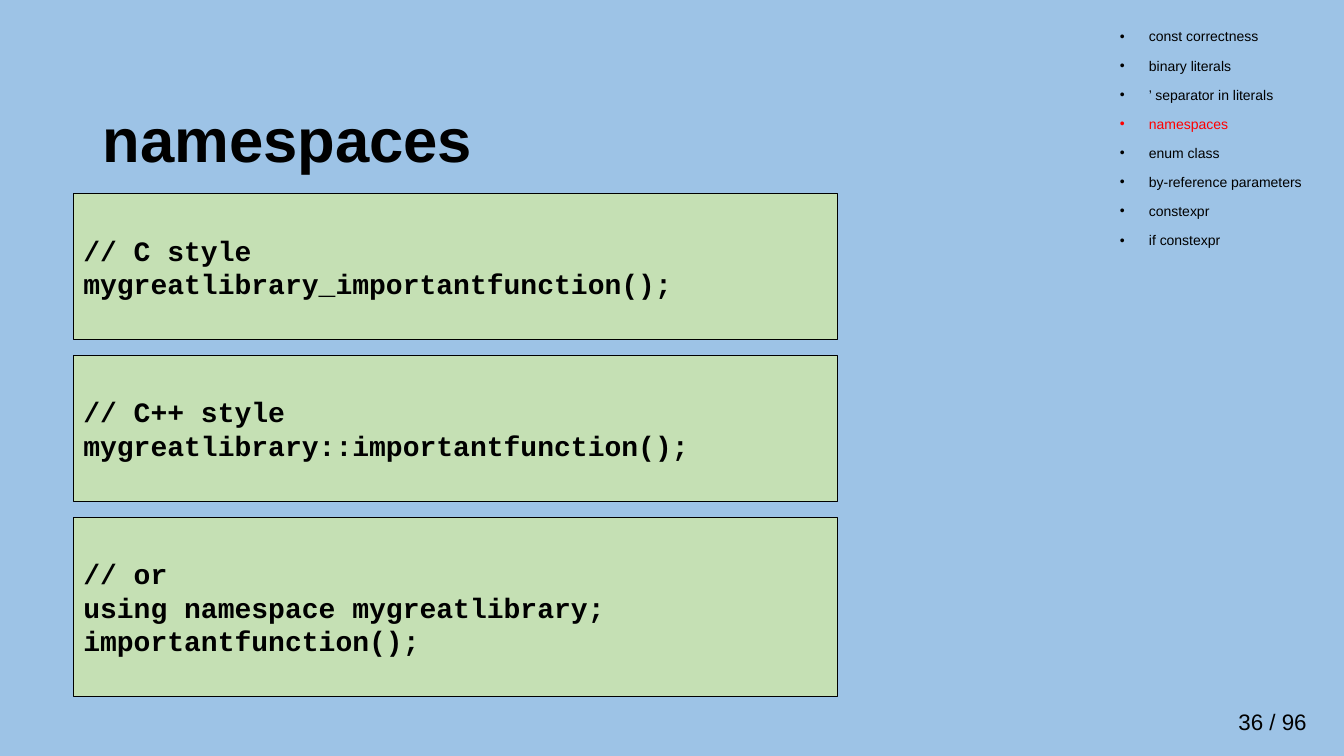
from pptx import Presentation
from pptx.dml.color import RGBColor
from pptx.enum.shapes import MSO_SHAPE
from pptx.enum.text import MSO_ANCHOR, MSO_AUTO_SIZE, PP_ALIGN
from pptx.oxml.ns import qn
from pptx.util import Cm, Pt
from lxml.etree import SubElement

COLORS = {
    "background": "9DC3E6",
    "code": "C5E0B4",
    "text": "000000",
    "current": "FF0000",
}
TOPICS = [
    "const correctness",
    "binary literals",
    "’ separator in literals",
    "namespaces",
    "enum class",
    "by-reference parameters",
    "constexpr",
    "if constexpr",
]
CURRENT_TOPIC = "namespaces"
CODE_BLOCKS = [
    ["// C style", "mygreatlibrary_importantfunction();"],
    ["// C++ style", "mygreatlibrary::importantfunction();"],
    ["// or", "using namespace mygreatlibrary;", "importantfunction();"],
]
CODE_TOP, CODE_GAP = 4.88, 0.4
CODE_PADDING, CODE_LINE = 2, 0.84


class SlideBuilder:
    fonts = {
        "title": {"name": "Arial", "size": Pt(44), "bold": True},
        "topic": {"name": "Arial", "size": Pt(10), "bold": False},
        "code": {"name": "Courier New", "size": Pt(20), "bold": True},
        "page": {"name": "Arial", "size": Pt(16), "bold": False},
    }
    paragraphs = {
        "title": {"alignment": PP_ALIGN.LEFT, "line_spacing": 0.9},
        "topic": {"alignment": PP_ALIGN.LEFT, "line_spacing": Pt(10.8), "space_before": Pt(10)},
        "code": {"alignment": PP_ALIGN.LEFT, "line_spacing": Pt(24)},
        "page": {"alignment": PP_ALIGN.LEFT},
    }

    def __init__(self, presentation):
        self.slide = presentation.slides.add_slide(presentation.slide_layouts[1])
        self.paint(self.slide.background.fill, "background")

    def color(self, name):
        return RGBColor.from_string(COLORS[name])

    def paint(self, fill, name):
        fill.solid()
        fill.fore_color.rgb = self.color(name)

    def apply(self, target, values):
        for name, value in values.items():
            setattr(target, name, value)

    def place(self, shape, left, top, width, height):
        self.apply(shape, {"left": Cm(left), "top": Cm(top), "width": Cm(width), "height": Cm(height)})

    def add_lines(self, shape, lines, style, anchor, highlight=None, bullet=False):
        frame = shape.text_frame
        self.apply(frame, {"word_wrap": True, "auto_size": MSO_AUTO_SIZE.NONE, "vertical_anchor": anchor})
        for index, line in enumerate(lines):
            paragraph = frame.add_paragraph() if index else frame.paragraphs[0]
            self.apply(paragraph, self.paragraphs[style])
            if index == 0:
                paragraph.space_before = Pt(0)
            if bullet:
                self.add_bullet(paragraph)
            run = paragraph.add_run()
            run.text = line
            self.apply(run.font, self.fonts[style])
            run.font.color.rgb = self.color("current" if line == highlight else "text")

    def add_bullet(self, paragraph):
        properties = paragraph._p.get_or_add_pPr()
        indent = Cm(0.73)
        properties.set("marL", str(indent))
        properties.set("indent", str(-indent))
        SubElement(properties, qn("a:buFont"), typeface="Arial")
        SubElement(properties, qn("a:buChar"), char="•")

    def title(self, text, *box):
        shape = self.slide.shapes.title
        self.place(shape, *box)
        self.add_lines(shape, [text], "title", MSO_ANCHOR.MIDDLE)

    def topics(self, lines, current, *box):
        shape = self.slide.placeholders[1]
        self.place(shape, *box)
        self.add_lines(shape, lines, "topic", MSO_ANCHOR.TOP, current, bullet=True)

    def code(self, lines, *box):
        shape = self.slide.shapes.add_shape(MSO_SHAPE.RECTANGLE, *map(Cm, box))
        shape.shadow.inherit = False
        self.paint(shape.fill, "code")
        shape.line.color.rgb = self.color("text")
        shape.line.width = Pt(0.75)
        self.add_lines(shape, lines, "code", MSO_ANCHOR.MIDDLE)

    def page_number(self, text, *box):
        shape = self.slide.shapes.add_textbox(*map(Cm, box))
        self.add_lines(shape, [text], "page", MSO_ANCHOR.TOP)


def main():
    presentation = Presentation()
    presentation.slide_width = Cm(33.87)
    presentation.slide_height = Cm(19.05)
    builder = SlideBuilder(presentation)
    builder.title("namespaces", 2.33, 1.75, 29.21, 3.68)
    builder.topics(TOPICS, CURRENT_TOPIC, 27.97, 0.62, 5.85, 6.4)
    top = CODE_TOP
    for lines in CODE_BLOCKS:
        height = CODE_PADDING + CODE_LINE * len(lines)
        builder.code(lines, 1.85, top, 19.25, height)
        top += height + CODE_GAP
    builder.page_number("36 / 96", 30.96, 17.73, 2.85, 0.94)
    presentation.save("out.pptx")


if __name__ == "__main__":
    main()
